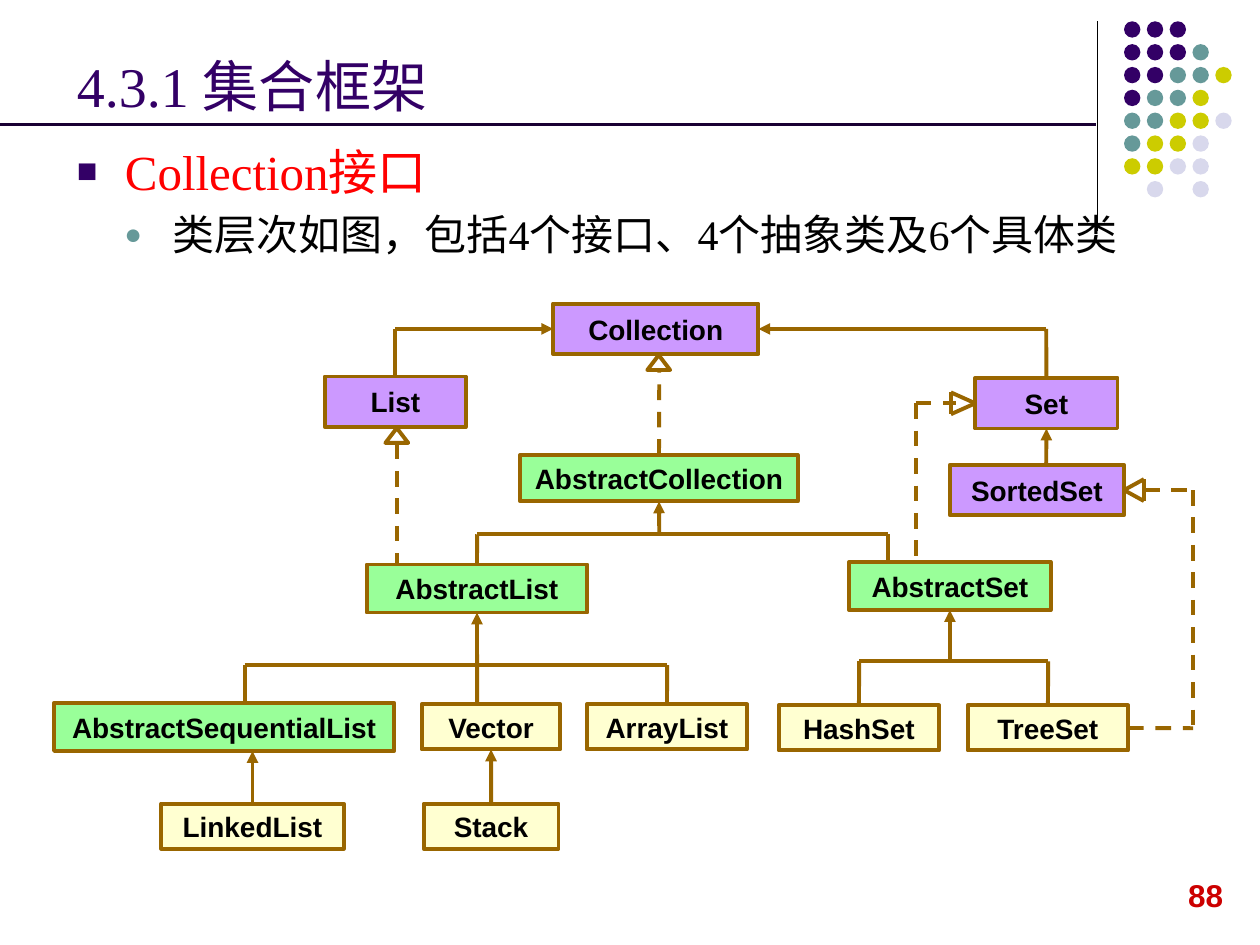
from lxml.etree import SubElement
from pptx import Presentation
from pptx.dml.color import RGBColor
from pptx.enum.dml import MSO_LINE
from pptx.enum.shapes import MSO_CONNECTOR, MSO_SHAPE
from pptx.enum.text import MSO_ANCHOR, MSO_AUTO_SIZE, PP_ALIGN
from pptx.oxml.ns import qn
from pptx.util import Cm, Pt

INDIGO = RGBColor(0x33, 0x00, 0x66)
TEAL = RGBColor(0x66, 0x99, 0x99)
OLIVE = RGBColor(0xCC, 0xCC, 0x00)
MIST = RGBColor(0xD8, 0xD8, 0xEC)
RED = RGBColor(0xFF, 0x00, 0x00)
CRIMSON = RGBColor(0xCC, 0x00, 0x00)
BLACK = RGBColor(0x00, 0x00, 0x00)
WHITE = RGBColor(0xFF, 0xFF, 0xFF)
NIGHT = RGBColor(0x19, 0x00, 0x33)
BROWN = RGBColor(0x99, 0x66, 0x00)
VIOLET = RGBColor(0xCC, 0x99, 0xFF)
GREEN = RGBColor(0x99, 0xFF, 0x99)
CREAM = RGBColor(0xFF, 0xFF, 0xD1)

TITLE_FONT = {"name": "Times New Roman", "size": Pt(32)}
TOPIC_FONT = {"name": "Times New Roman", "size": Pt(28)}
DETAIL_FONT = {"name": "Times New Roman", "size": Pt(24)}
CLASS_FONT = {"name": "Arial", "size": Pt(16), "bold": True}
NUMBER_FONT = {"name": "Arial", "size": Pt(18), "bold": True}

TOP, LEFT, BOTTOM, RIGHT = range(4)

DOT_ROWS = ["III", "IIIT", "IITTO", "ITTO", "TTOOM", "TOOM", "OOMM", " M M"]
DOT_COLOURS = {"I": INDIGO, "T": TEAL, "O": OLIVE, "M": MIST}

CLASSES = {
    "Collection": (10.06, 0, 4.14, 1.02, VIOLET),
    "List": (5.46, 1.47, 2.84, 1.02, VIOLET),
    "Set": (18.57, 1.5, 2.87, 1.02, VIOLET),
    "SortedSet": (18.06, 3.25, 3.51, 1.02, VIOLET),
    "AbstractCollection": (9.4, 3.05, 5.59, 0.94, GREEN),
    "AbstractSet": (16.03, 5.21, 4.06, 0.97, GREEN),
    "AbstractList": (6.3, 5.26, 4.45, 0.97, GREEN),
    "AbstractSequentialList": (0, 8.05, 6.86, 0.97, GREEN),
    "Vector": (7.41, 8.08, 2.8, 0.91, CREAM),
    "ArrayList": (10.74, 8.08, 3.23, 0.91, CREAM),
    "HashSet": (14.61, 8.1, 3.23, 0.91, CREAM),
    "TreeSet": (18.42, 8.1, 3.23, 0.91, CREAM),
    "LinkedList": (2.16, 10.08, 3.68, 0.91, CREAM),
    "Stack": (7.45, 10.08, 2.72, 0.91, CREAM),
}

ARROWS = [
    ((6.88, 0.51), ("Collection", LEFT)),
    ((20, 0.51), ("Collection", RIGHT)),
    ((20, 3.25), ("Set", BOTTOM)),
    ((12.2, 4.65), ("AbstractCollection", BOTTOM)),
    ((8.53, 8.08), ("AbstractList", BOTTOM)),
    ((18.06, 7.21), ("AbstractSet", BOTTOM)),
    (("LinkedList", TOP), (4, 9.02)),
    (("Stack", TOP), ("Vector", BOTTOM)),
]
BRANCHES = [
    ((6.88, 0.51), ("List", TOP)),
    ((20, 0.51), ("Set", TOP)),
    ((8.53, 4.65), (16.81, 4.65)),
    ((8.53, 4.65), ("AbstractList", TOP)),
    ((16.81, 4.65), (16.81, 5.21)),
    ((3.84, 7.29), (12.36, 7.29)),
    ((3.84, 7.29), (3.84, 8.05)),
    ((12.36, 7.29), ("ArrayList", TOP)),
    ((16.23, 7.21), (20.04, 7.21)),
    ((16.23, 7.21), ("HashSet", TOP)),
    ((20.04, 7.21), ("TreeSet", TOP)),
]
REALIZATIONS = [
    (("AbstractCollection", TOP), (12.2, 1.35)),
    ((6.91, 2.82), (6.91, 5.26)),
    ((17.37, 2.01), (17.37, 5.21)),
    ((17.37, 2.01), (18.19, 2.01)),
    ((21.97, 3.76), (22.96, 3.76)),
    ((22.96, 3.76), (22.96, 8.56)),
    (("TreeSet", RIGHT), (22.96, 8.56)),
]
TRIANGLES = [(11.96, 1.04), (6.68, 2.51)]
OPEN_HEADS = [("Set", LEFT, 18.08, 2.01), ("SortedSet", RIGHT, 21.97, 3.76)]


def set_font(font, colour, values):
    for key, value in values.items():
        setattr(font, key, value)
    font.color.rgb = colour


def add_line(slide, start, end, colour, width, dash=None, arrow=False):
    line = slide.shapes.add_connector(
        MSO_CONNECTOR.STRAIGHT, *(Cm(value) for value in (*start, *end)))
    line.line.color.rgb = colour
    line.line.width = Pt(width)
    if dash:
        line.line.dash_style = dash
    properties = line._element.spPr
    if arrow:
        SubElement(properties.find(qn("a:ln")), qn("a:tailEnd"), type="triangle")
    SubElement(properties, qn("a:effectLst"))
    return line


def add_filled(slide, kind, box, fill, outline=None):
    shape = slide.shapes.add_shape(kind, *(Cm(value) for value in box))
    shape.shadow.inherit = False
    shape.fill.solid()
    shape.fill.fore_color.rgb = fill
    if outline:
        shape.line.color.rgb = outline
        shape.line.width = Pt(2.25)
    else:
        shape.line.fill.background()
    return shape


def add_ornament(slide, left, top):
    add_line(slide, (left, top), (left, top + 4.22), BLACK, 0.75)
    pitch, diameter = 0.46, 0.33
    for row, marks in enumerate(DOT_ROWS):
        for column, mark in enumerate(marks):
            if mark in DOT_COLOURS:
                box = (left + 0.54 + column * pitch, top + row * pitch, diameter, diameter)
                add_filled(slide, MSO_SHAPE.OVAL, box, DOT_COLOURS[mark])


def add_title(slide, left, top, width, height):
    title = slide.shapes.add_textbox(Cm(left), Cm(top), Cm(width), Cm(height))
    frame = title.text_frame
    frame.word_wrap = True
    frame.vertical_anchor = MSO_ANCHOR.BOTTOM
    frame.text = "4.3.1 集合框架"
    set_font(frame.paragraphs[0].font, INDIGO, TITLE_FONT)
    add_line(slide, (0, top + height), (22.1, top + height), NIGHT, 2.25)


def add_bullet(paragraph, mark, colour, indent):
    properties = paragraph._p.get_or_add_pPr()
    properties.set("marL", str(Cm(indent)))
    properties.set("indent", str(Cm(-0.97)))
    holder = SubElement(properties, qn("a:buClr"))
    SubElement(holder, qn("a:srgbClr"), val=str(colour))
    SubElement(properties, qn("a:buSzPct"), val="70000")
    SubElement(properties, qn("a:buFont"), typeface="Arial")
    SubElement(properties, qn("a:buChar"), char=mark)


def add_body(slide, left, top, width, height):
    body = slide.shapes.add_textbox(Cm(left), Cm(top), Cm(width), Cm(height))
    frame = body.text_frame
    frame.word_wrap = True
    topic = frame.paragraphs[0]
    topic.text = "Collection接口"
    add_bullet(topic, "■", INDIGO, 0.97)
    set_font(topic.font, RED, TOPIC_FONT)
    detail = frame.add_paragraph()
    detail.text = "类层次如图，包括4个接口、4个抽象类及6个具体类"
    detail.level = 1
    detail.space_before = Pt(5)
    add_bullet(detail, "●", TEAL, 1.93)
    set_font(detail.font, BLACK, DETAIL_FONT)


def add_hierarchy(slide, left, top):
    boxes = {}
    for name, (x, y, width, height, fill) in CLASSES.items():
        box = add_filled(slide, MSO_SHAPE.RECTANGLE,
                         (left + x, top + y, width, height), fill, BROWN)
        frame = box.text_frame
        frame.word_wrap = False
        frame.text = name
        frame.paragraphs[0].alignment = PP_ALIGN.CENTER
        set_font(frame.paragraphs[0].font, BLACK, CLASS_FONT)
        boxes[name] = box

    def link(start, end, **style):
        ends = [(0, 0) if spot[0] in boxes else (left + spot[0], top + spot[1])
                for spot in (start, end)]
        line = add_line(slide, *ends, BROWN, 2.25, **style)
        for spot, connect in ((start, line.begin_connect), (end, line.end_connect)):
            if spot[0] in boxes:
                connect(boxes[spot[0]], spot[1])

    for links, style in ((REALIZATIONS, {"dash": MSO_LINE.DASH}),
                         (BRANCHES, {}), (ARROWS, {"arrow": True})):
        for start, end in links:
            link(start, end, **style)
    for x, y in TRIANGLES:
        add_filled(slide, MSO_SHAPE.ISOSCELES_TRIANGLE,
                   (left + x, top + y, 0.46, 0.3), WHITE, BROWN)
    for name, side, x, y in OPEN_HEADS:
        upper, lower = (x, y - 0.22), (x, y + 0.22)
        link(upper, lower)
        link(upper, (name, side))
        link(lower, (name, side))


def add_page_number(slide, left, top, width, height):
    number = slide.shapes.add_textbox(Cm(left), Cm(top), Cm(width), Cm(height))
    frame = number.text_frame
    frame.word_wrap = False
    frame.auto_size = MSO_AUTO_SIZE.SHAPE_TO_FIT_TEXT
    frame.text = "88"
    set_font(frame.paragraphs[0].font, CRIMSON, NUMBER_FONT)


def main():
    deck = Presentation()
    deck.slide_width, deck.slide_height = Cm(25.4), Cm(19.05)
    slide = deck.slides.add_slide(deck.slide_layouts[6])
    add_ornament(slide, 22.12, 0.43)
    add_page_number(slide, 23.7, 17.53, 1.22, 1.02)
    add_title(slide, 1.3, 0.53, 20.96, 1.98)
    add_body(slide, 1.3, 2.72, 22.86, 14.4)
    add_hierarchy(slide, 1.09, 6.12)
    deck.save("out.pptx")


if __name__ == "__main__":
    main()
